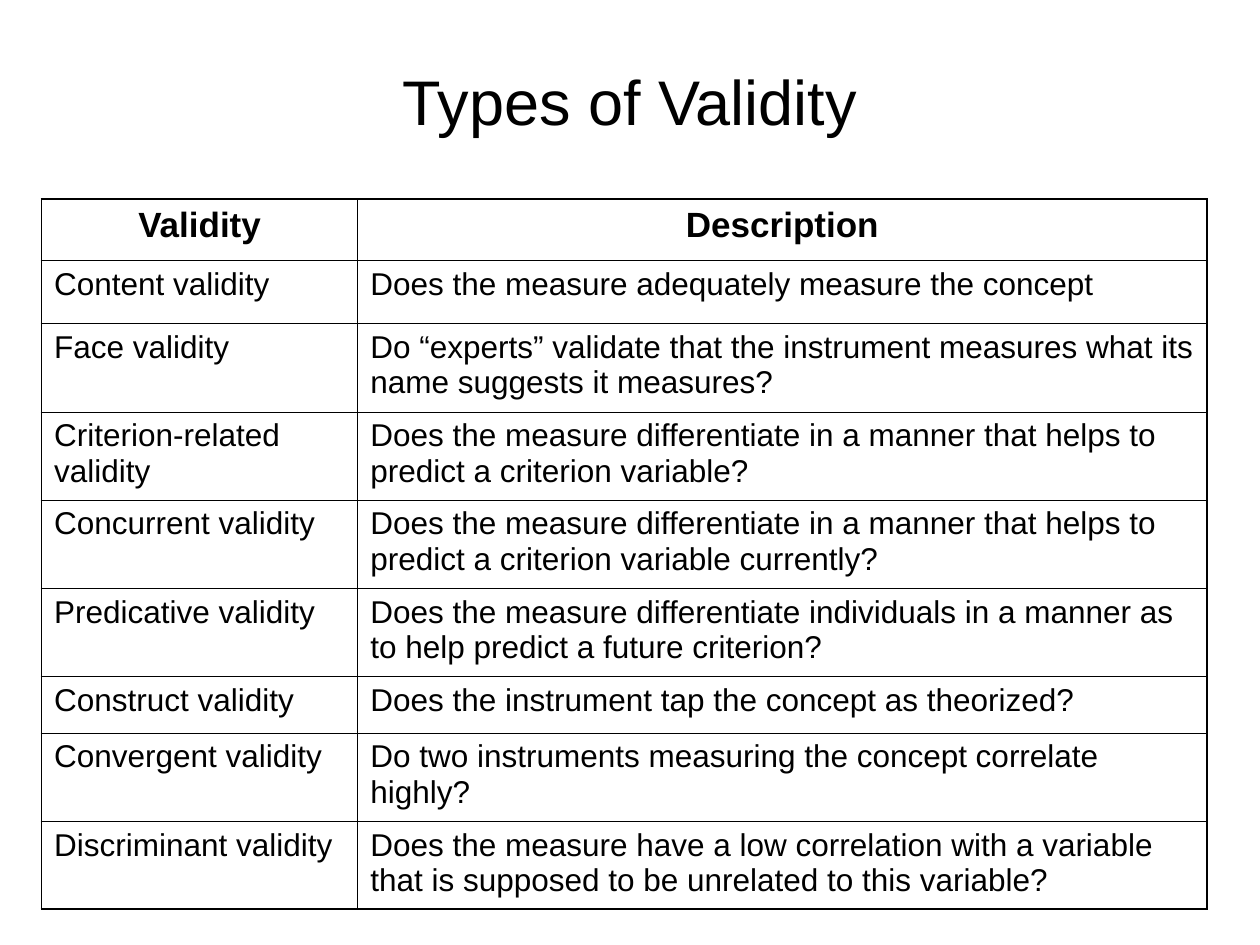
from dataclasses import dataclass

from lxml import etree
from pptx import Presentation
from pptx.dml.color import RGBColor
from pptx.enum.text import MSO_ANCHOR, PP_ALIGN
from pptx.oxml.ns import qn
from pptx.util import Inches, Pt

CENTER, LEFT = PP_ALIGN.CENTER, PP_ALIGN.LEFT
MIDDLE = MSO_ANCHOR.MIDDLE
TITLE_ONLY = 5


@dataclass(frozen=True)
class Theme:
    """Colours, font, type sizes and line widths of the slide."""
    font: str = "Arial"
    ink: str = "000000"
    title: int = 36
    header: int = 20
    body: int = 18
    space_share: float = 0.25
    outer: float = 1.08
    inner: float = 0.45


THEME = Theme()
TITLE_BOX = (0.5, 0.17, 9, 1.25)
TABLE_BOX = (0.33, 1.58, 9.25, 5.64)
COL_WEIGHTS = (2.51, 6.74)
ROW_WEIGHTS = (0.49, 0.5, 0.7, 0.7, 0.7, 0.7, 0.45, 0.7, 0.7)
ROWS = (
    ("Validity", "Description"),
    ("Content validity", "Does the measure adequately measure the concept"),
    ("Face validity", "Do “experts” validate that the instrument measures what its name suggests it measures?"),
    ("Criterion-related validity",
     "Does the measure differentiate in a manner that helps to predict a criterion variable?"),
    ("Concurrent validity",
     "Does the measure differentiate in a manner that helps to predict a criterion variable currently?"),
    ("Predicative validity",
     "Does the measure differentiate individuals in a manner as to help predict a future criterion?"),
    ("Construct validity", "Does the instrument tap the concept as theorized?"),
    ("Convergent validity", "Do two instruments measuring the concept correlate highly?"),
    ("Discriminant validity",
     "Does the measure have a low correlation with a variable that is supposed to be unrelated to this variable?"),
)


def set_text(tf, text, size, align, bold=False):
    """Write one formatted paragraph into a text frame."""
    tf.text = text
    p = tf.paragraphs[0]
    p.alignment = align
    font = p.runs[0].font
    font.name, font.size, font.bold = THEME.font, Pt(size), bold
    font.color.rgb = RGBColor.from_string(THEME.ink)
    return p


def set_borders(cell, widths):
    """Draw the left, right, top and bottom borders of a cell."""
    tc_pr = cell._tc.get_or_add_tcPr()
    for i, (side, width) in enumerate(zip("LRTB", widths)):
        ln = etree.Element(qn(f"a:ln{side}"), w=str(Pt(width)))
        fill = etree.SubElement(ln, qn("a:solidFill"))
        etree.SubElement(fill, qn("a:srgbClr"), val=THEME.ink)
        tc_pr.insert(i, ln)


def add_title(s, box, text):
    """Place and format the title placeholder."""
    sp = s.shapes.title
    sp.left, sp.top, sp.width, sp.height = map(Inches, box)
    sp.text_frame.vertical_anchor = MIDDLE
    set_text(sp.text_frame, text, THEME.title, CENTER)


def add_validity_table(s, box, rows):
    """Fill the box with a ruled table whose first row is the header."""
    last_row, last_col = len(rows) - 1, len(rows[0]) - 1
    table = s.shapes.add_table(len(rows), len(rows[0]), *map(Inches, box)).table
    table.first_row = table.horz_banding = False
    for col, weight in zip(table.columns, COL_WEIGHTS):
        col.width = Inches(box[2] * weight / sum(COL_WEIGHTS))
    for row, weight in zip(table.rows, ROW_WEIGHTS):
        row.height = Inches(box[3] * weight / sum(ROW_WEIGHTS))
    for r, texts in enumerate(rows):
        header = r == 0
        size = THEME.header if header else THEME.body
        for c, text in enumerate(texts):
            cell = table.cell(r, c)
            cell.fill.background()
            p = set_text(cell.text_frame, text, size, CENTER if header else LEFT, header)
            p.space_before = Pt(size * THEME.space_share)
            edges = (c == 0, c == last_col, r == 0, r == last_row)
            set_borders(cell, [THEME.outer if edge else THEME.inner for edge in edges])


def main():
    """Build the slide and save it."""
    prs = Presentation()
    prs.slide_width, prs.slide_height = Inches(10), Inches(7.5)
    s = prs.slides.add_slide(prs.slide_layouts[TITLE_ONLY])
    add_title(s, TITLE_BOX, "Types of Validity")
    add_validity_table(s, TABLE_BOX, ROWS)
    prs.save("out.pptx")


if __name__ == "__main__":
    main()
